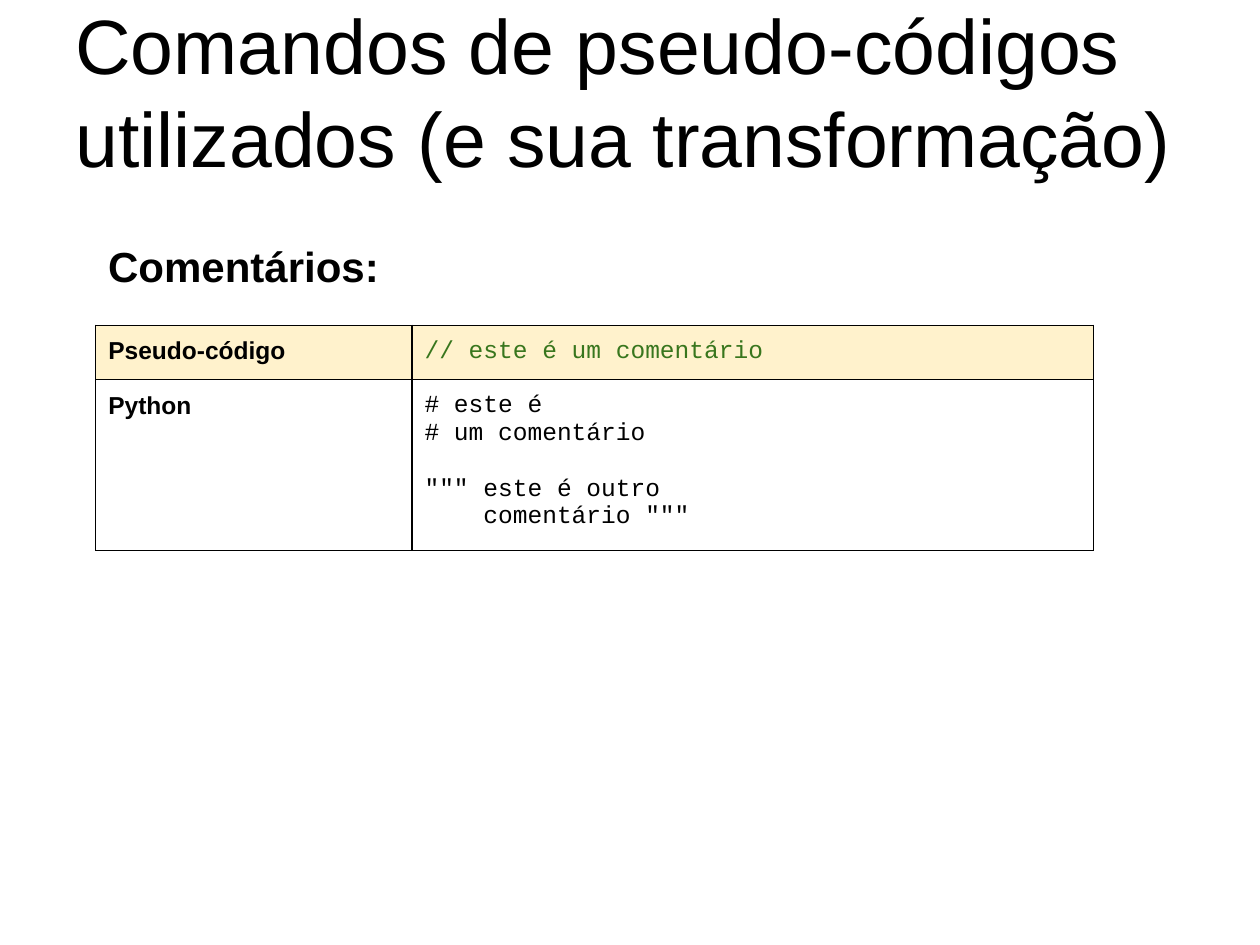
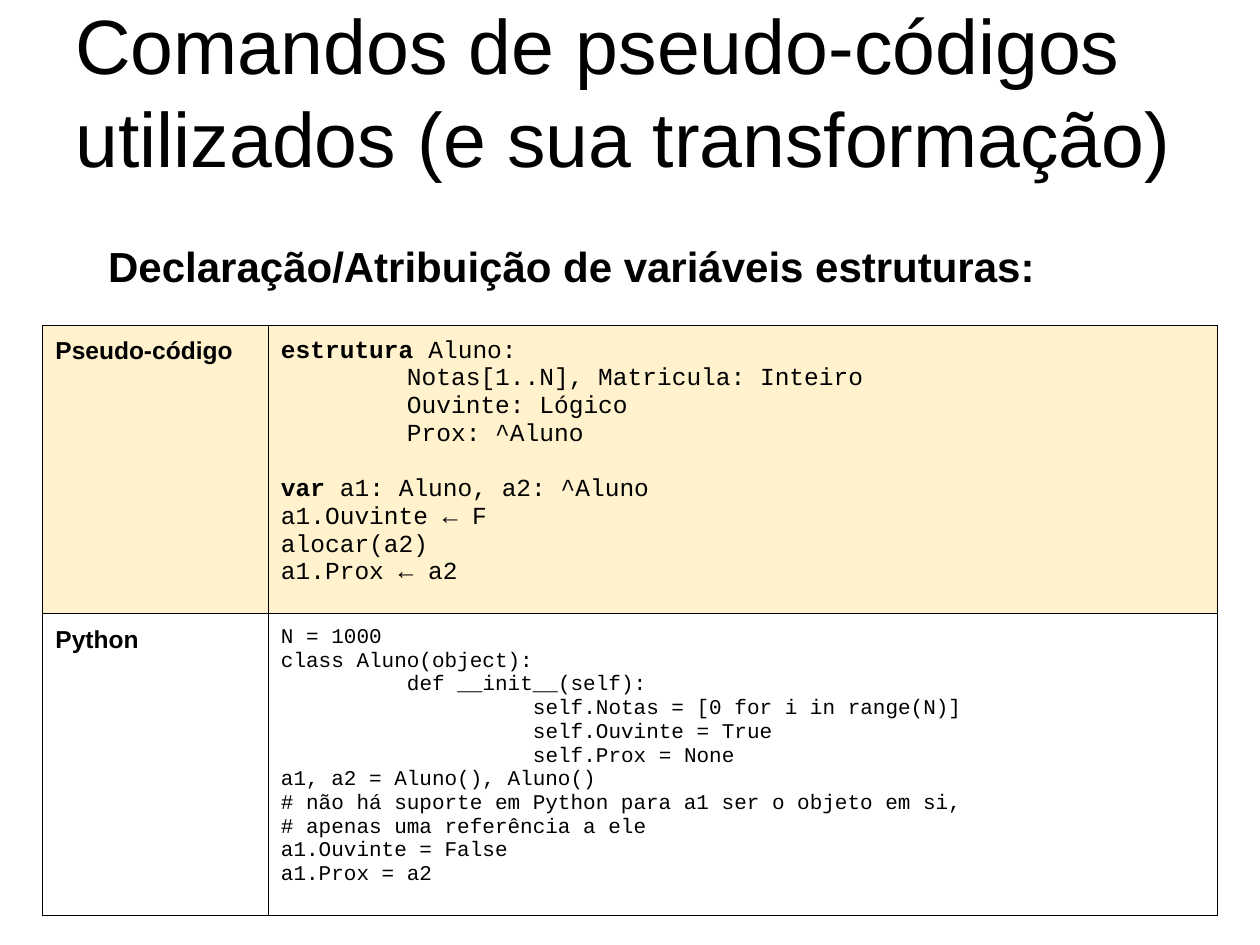
from lxml import etree
from pptx import Presentation
from pptx import util as u
from pptx.dml.color import RGBColor
from pptx.enum import text
from pptx.oxml import ns

COLORS = {"ink": "000000", "cream": "FFF2CC", "green": "38761D"}
HEADING_FONT = "Arial"
CODE_FONT = "Courier New"
TITLE = "Comandos de pseudo-códigos utilizados (e sua transformação)"
KEYWORDS = ("estrutura", "var")
MARGIN = u.Inches(0.1)
ROW_HEIGHT = 0.42
BLANK_LINE = u.Pt(15.9)

TOPICS = [
    {
        "heading": "Comentários:",
        "left": 0.76,
        "columns": (2.51, 5.41),
        "rows": [
            ("Pseudo-código", 14, "green", ["// este é um comentário"]),
            ("Python", 14, "ink", [
                "# este é",
                "# um comentário",
                "",
                '""" este é outro',
                '    comentário """',
            ]),
        ],
    },
    {
        "heading": "Declaração/Atribuição de variáveis estruturas:",
        "left": 0.34,
        "columns": (1.79, 7.53),
        "rows": [
            ("Pseudo-código", 14, "ink", [
                "estrutura Aluno:",
                "\tNotas[1..N], Matricula: Inteiro",
                "\tOuvinte: Lógico",
                "\tProx: ^Aluno",
                "",
                "var a1: Aluno, a2: ^Aluno",
                "a1.Ouvinte ← F",
                "alocar(a2)",
                "a1.Prox ← a2",
            ]),
            ("Python", 12, "ink", [
                "N = 1000",
                "class Aluno(object):",
                "\tdef __init__(self):",
                "\t\tself.Notas = [0 for i in range(N)]",
                "\t\tself.Ouvinte = True",
                "\t\tself.Prox = None",
                "a1, a2 = Aluno(), Aluno()",
                "# não há suporte em Python para a1 ser o objeto em si,",
                "# apenas uma referência a ele",
                "a1.Ouvinte = False",
                "a1.Prox = a2",
            ]),
        ],
    },
]


def add_span(para, words, font, size, bold=False, color="ink"):
    span = para.add_run()
    span.text = words
    span.font.name = font
    span.font.size = u.Pt(size)
    span.font.bold = bold
    span.font.color.rgb = RGBColor.from_string(COLORS[color])


def style_cell(cell, fill):
    cell.margin_left = cell.margin_right = MARGIN
    cell.margin_top = cell.margin_bottom = MARGIN
    if fill:
        cell.fill.solid()
        cell.fill.fore_color.rgb = RGBColor.from_string(COLORS[fill])
    else:
        cell.fill.background()
    properties = cell._tc.get_or_add_tcPr()
    for index, side in enumerate("LRTB"):
        border = etree.Element(ns.qn(f"a:ln{side}"), w=str(u.Pt(0.75)))
        solid = etree.SubElement(border, ns.qn("a:solidFill"))
        etree.SubElement(solid, ns.qn("a:srgbClr"), val=COLORS["ink"])
        properties.insert(index, border)


deck = Presentation()
deck.slide_width = u.Inches(10)
deck.slide_height = u.Inches(7.5)

for topic in TOPICS:
    page = deck.slides.add_slide(deck.slide_layouts[6])

    for words, place, size, bold, spacing, anchor in (
        (topic["heading"], (0.76, 1.75, 7.92, 5.43), 24, True, 1.15, text.MSO_ANCHOR.TOP),
        (TITLE, (0.5, 0.3, 9, 1.25), 44, False, None, text.MSO_ANCHOR.BOTTOM),
    ):
        box = page.shapes.add_textbox(*map(u.Inches, place))
        frame = box.text_frame
        frame.word_wrap = True
        frame.vertical_anchor = anchor
        frame.margin_left = frame.margin_right = MARGIN
        frame.margin_top = frame.margin_bottom = MARGIN
        para = frame.paragraphs[0]
        para.line_spacing = spacing
        add_span(para, words, HEADING_FONT, size, bold)

    width = sum(topic["columns"])
    height = ROW_HEIGHT * len(topic["rows"])
    table = page.shapes.add_table(
        2, 2, u.Inches(topic["left"]), u.Inches(2.58), u.Inches(width), u.Inches(height)
    ).table
    table.first_row = table.horz_banding = False
    for column, column_width in zip(table.columns, topic["columns"]):
        column.width = u.Inches(column_width)

    for index, (label, size, color, lines) in enumerate(topic["rows"]):
        label_cell, code_cell = table.rows[index].cells
        for cell in (label_cell, code_cell):
            style_cell(cell, "cream" if index == 0 else None)
        add_span(label_cell.text_frame.paragraphs[0], label, HEADING_FONT, 14, True)

        frame = code_cell.text_frame
        for number, line in enumerate(lines):
            if not line:
                continue
            para = frame.paragraphs[0] if number == 0 else frame.add_paragraph()
            if number and not lines[number - 1]:
                para.space_before = BLANK_LINE
            depth = line.count("\t")
            if depth:
                stops = etree.SubElement(para._p.get_or_add_pPr(), ns.qn("a:tabLst"))
                for stop in range(1, depth + 1):
                    etree.SubElement(stops, ns.qn("a:tab"), pos=str(u.Inches(stop)), algn="l")
            keyword, space, rest = line.partition(" ")
            if keyword in KEYWORDS:
                add_span(para, keyword + space, CODE_FONT, size, True, color)
                line = rest
            add_span(para, line, CODE_FONT, size, False, color)

deck.save("out.pptx")
